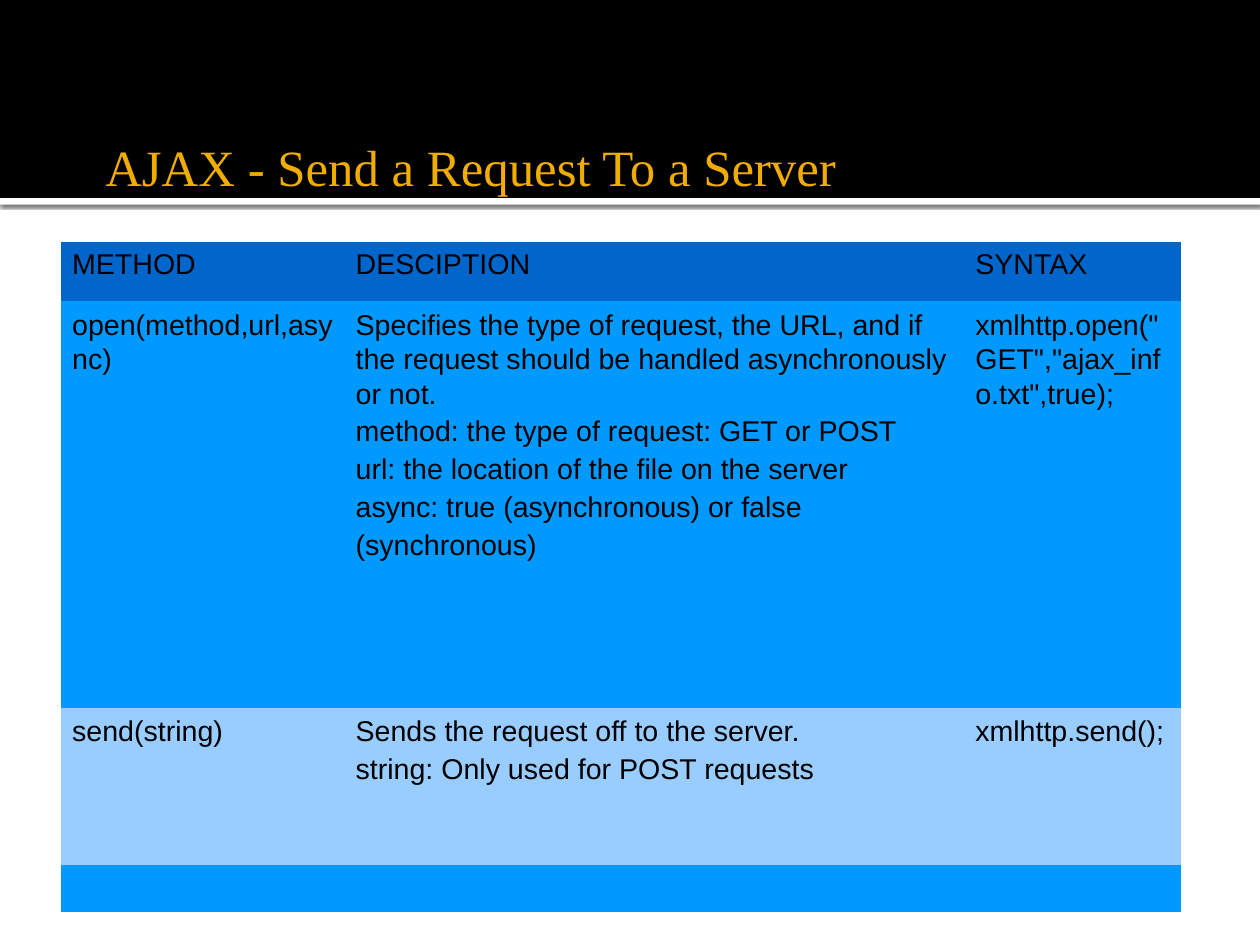
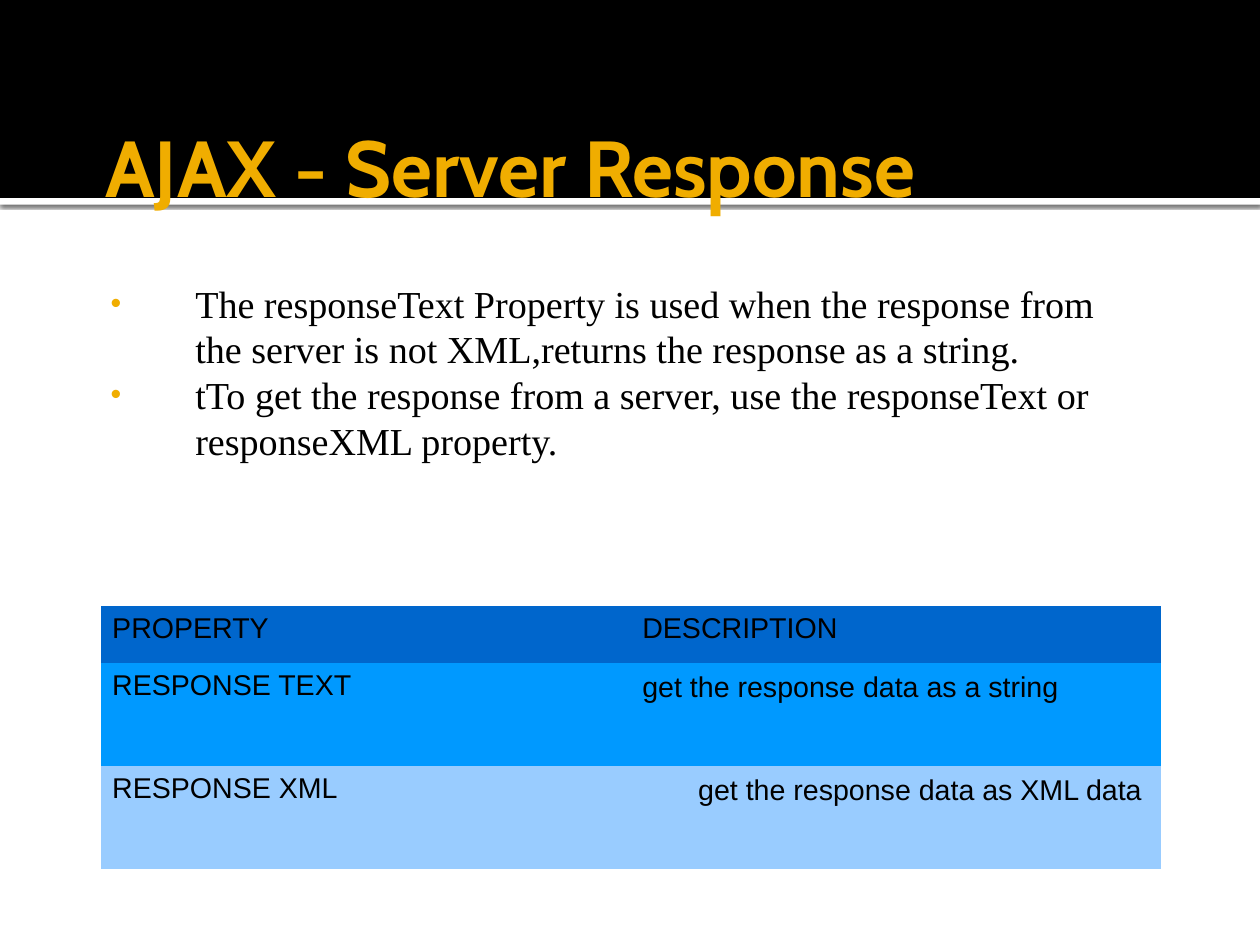
import pptx
import pptx.util
import pptx.dml.color
import pptx.enum.shapes
import pptx.enum.text
import pptx.oxml
import pptx.oxml.ns

Cm, Pt = pptx.util.Cm, pptx.util.Pt
RGBColor = pptx.dml.color.RGBColor
qn = pptx.oxml.ns.qn

BLACK = RGBColor(0x00, 0x00, 0x00)
WHITE = RGBColor(0xFF, 0xFF, 0xFF)
GOLD = RGBColor(0xF0, 0xAD, 0x00)
HEADER_BLUE = RGBColor(0x00, 0x66, 0xCC)
ROW_BLUES = RGBColor(0x00, 0x99, 0xFF), RGBColor(0x99, 0xCC, 0xFF)
SERIF, SANS, TITLE_SANS = "Times New Roman", "Arial", "Cabin"

SLIDE_W, SLIDE_H = 28, 21
BAND_H, RULE_H = 4.4, 0.15
NO_STYLE_NO_GRID = "{2D5ABB26-0587-4C30-8999-92F81FD0307C}"
# Line spacing of headings, of a cell's first paragraph and of those after it
HEADING_LS, FIRST_LS, NEXT_LS = 1.04, 1.08, 1.18

SLIDES = [
    dict(
        title="AJAX - Send a Request To a Server",
        title_font=(SERIF, 32, False),
        bullets=[],
        table=dict(
            at=(1.35, 5.38),
            cols=[6.3, 13.77, 4.83],
            heights=[1.31, 9.04, 3.5, 0.98],
            heading_cols=0,
            rows=[
                ["METHOD", "DESCIPTION", "SYNTAX"],
                ["open(method,url,async)",
                 "Specifies the type of request, the URL, and if the request "
                 "should be handled asynchronously or not.\n"
                 "method: the type of request: GET or POST\n"
                 "url: the location of the file on the server\n"
                 "async: true (asynchronous) or false (synchronous)",
                 'xmlhttp.open("GET","ajax_info.txt",true);'],
                ["send(string)",
                 "Sends the request off to the server.\n"
                 "string: Only used for POST requests",
                 "xmlhttp.send();"],
                ["", "", ""],
            ],
            indents={},
        ),
    ),
    dict(
        title="AJAX - Server Response",
        title_font=(TITLE_SANS, 50, True),
        bullets=[
            "The responseText Property is used when the response from the "
            "server is not XML,returns the response as a string.",
            "tTo get the response from a server, use the responseText or "
            "responseXML property.",
        ],
        table=dict(
            at=(2.24, 13.46),
            cols=[11.78, 11.78],
            heights=[1.27, 2.29, 2.29],
            heading_cols=1,
            rows=[
                ["PROPERTY", "DESCRIPTION"],
                ["RESPONSE TEXT", "get the response data as a string"],
                ["RESPONSE XML", "get the response data as XML data"],
            ],
            indents={(2, 1): 1.24},
        ),
    ),
]


def set_font(font, name, size, color, bold=False):
    font.name, font.size, font.bold = name, Pt(size), bold
    font.color.rgb = color


def place(shape, left, top, width, height):
    shape.left, shape.top = Cm(left), Cm(top)
    shape.width, shape.height = Cm(width), Cm(height)


def set_insets(tf, left, top, right, bottom):
    tf.margin_left, tf.margin_top = Cm(left), Cm(top)
    tf.margin_right, tf.margin_bottom = Cm(right), Cm(bottom)


def add_xml(parent, xml):
    ns = pptx.oxml.ns.nsdecls("a")
    tag, rest = xml[1:].split(" ", 1)
    parent.append(pptx.oxml.parse_xml(f"<{tag} {ns} {rest}"))


def format_master(master):
    title, body = master.placeholders[0], master.placeholders[1]
    place(title, 2.06, 2.06, 23.9, 3.25)
    set_insets(title.text_frame, 0.28, 0.15, 0.15, 0.15)
    title.text_frame.vertical_anchor = pptx.enum.text.MSO_ANCHOR.MIDDLE
    place(body, 2.28, 5.94, 23.37, 13.84)
    set_insets(body.text_frame, 0.18, 0.28, 0.28, 0.15)
    for ph in (title, body):
        ph.text_frame.auto_size = pptx.enum.text.MSO_AUTO_SIZE.NONE


def add_master_bands(s, master):
    """Draw the bands on s, then move them behind the master's placeholders."""
    bands = [(BAND_H, RULE_H, WHITE), (0, BAND_H, BLACK)]
    for i, (top, height, color) in enumerate(bands):
        band = s.shapes.add_shape(pptx.enum.shapes.MSO_SHAPE.RECTANGLE,
                                  0, Cm(top), Cm(SLIDE_W), Cm(height))
        band.fill.solid()
        band.fill.fore_color.rgb = color
        band.line.fill.background()
        band.shadow.inherit = False
        if color == WHITE:
            effects = band.element.spPr.find(qn("a:effectLst"))
            add_xml(effects,
                    f'<a:outerShdw blurRad="{Pt(2.5)}" dist="{Pt(0.8)}" '
                    'dir="5400000" rotWithShape="0"><a:srgbClr val="000000">'
                    '<a:alpha val="60000"/></a:srgbClr></a:outerShdw>')
        master.shapes.element.insert(2 + i, band.element)


def fill_title(s, text, font):
    s.shapes.title.text_frame.text = text
    p = s.shapes.title.text_frame.paragraphs[0]
    p.alignment = pptx.enum.text.PP_ALIGN.LEFT
    name, size, bold = font
    set_font(p.runs[0].font, name, size, GOLD, bold)


def fill_bullets(tf, items):
    tf.text = "\n".join(items)
    for p in tf.paragraphs:
        p.space_before = Pt(0)
        pPr = p._p.get_or_add_pPr()
        pPr.set("marL", str(Cm(1.88)))
        pPr.set("indent", str(-Cm(1.88)))
        add_xml(pPr, f'<a:buClr ><a:srgbClr val="{GOLD}"/></a:buClr>')
        add_xml(pPr, '<a:buSzPct val="80000"/>')
        add_xml(pPr, '<a:buFont typeface="Arial"/>')
        add_xml(pPr, '<a:buChar char="•"/>')
        set_font(p.runs[0].font, SERIF, 24, BLACK)


def add_banded_table(s, at, cols, heights, heading_cols, rows, indents):
    frame = s.shapes.add_table(len(rows), len(cols), Cm(at[0]), Cm(at[1]),
                               Cm(sum(cols)), Cm(sum(heights)))
    table = frame.table
    table._tbl.tblPr.find(qn("a:tableStyleId")).text = NO_STYLE_NO_GRID
    for col, width in zip(table.columns, cols):
        col.width = Cm(width)
    for i, (row, height) in enumerate(zip(table.rows, heights)):
        row.height = Cm(height)
        for j, cell in enumerate(row.cells):
            cell.fill.solid()
            cell.fill.fore_color.rgb = ROW_BLUES[(i - 1) % 2] if i else HEADER_BLUE
            cell.text_frame.text = rows[i][j]
            heading = i == 0 or j < heading_cols
            for k, p in enumerate(cell.text_frame.paragraphs):
                p.line_spacing = NEXT_LS if k else HEADING_LS if heading else FIRST_LS
                if (i, j) in indents:
                    p._p.get_or_add_pPr().set("marL", str(Cm(indents[i, j])))
                for r in p.runs:
                    set_font(r.font, SANS, 18, BLACK)


def main():
    prs = pptx.Presentation()
    prs.slide_width, prs.slide_height = Cm(SLIDE_W), Cm(SLIDE_H)
    master = prs.slide_master
    format_master(master)
    title_and_content, title_only = prs.slide_layouts[1], prs.slide_layouts[5]
    for content in SLIDES:
        bullets = content["bullets"]
        s = prs.slides.add_slide(title_and_content if bullets else title_only)
        fill_title(s, content["title"], content["title_font"])
        if bullets:
            fill_bullets(s.placeholders[1].text_frame, bullets)
        add_banded_table(s, **content["table"])
    add_master_bands(prs.slides[0], master)
    prs.save("out.pptx")


if __name__ == "__main__":
    main()
